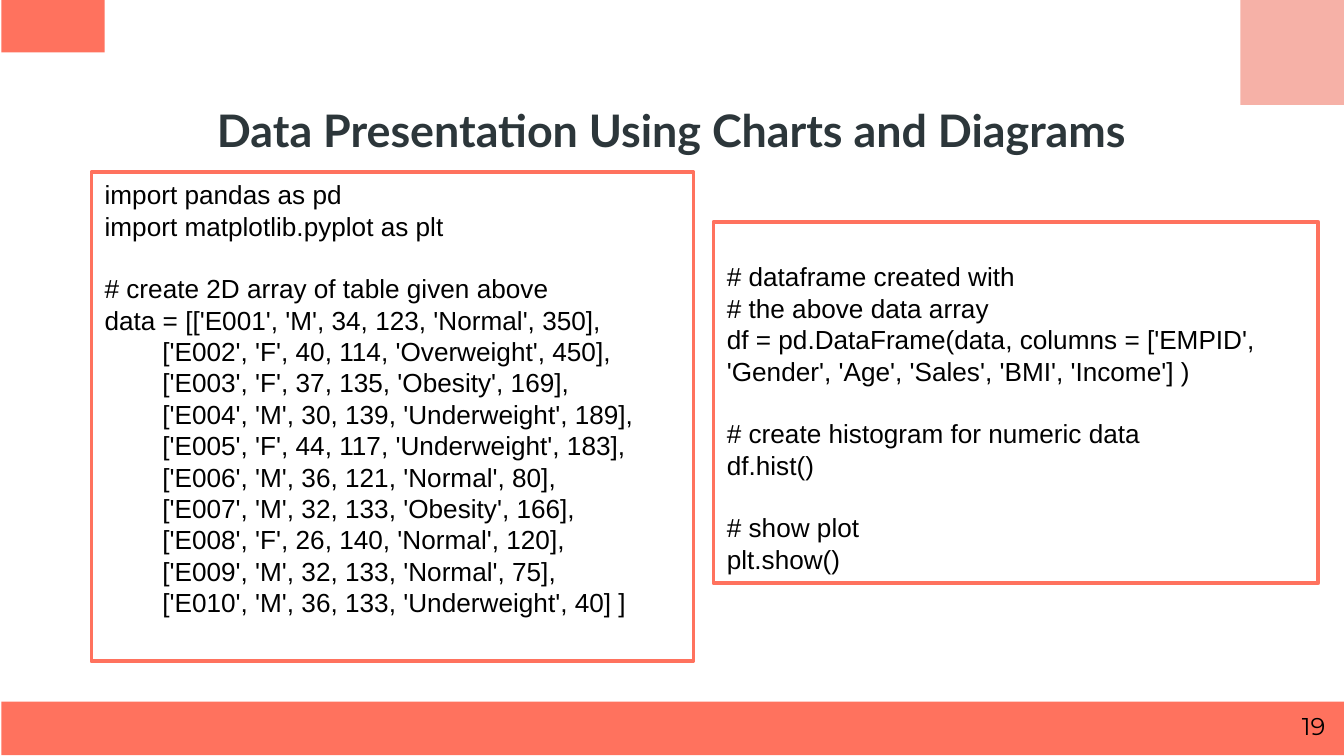
from pptx import Presentation
from pptx.dml.color import RGBColor
from pptx.enum.shapes import MSO_SHAPE
from pptx.enum.text import MSO_ANCHOR, MSO_AUTO_SIZE, PP_ALIGN
from pptx.util import Inches, Pt

COLORS = {"coral": "FF725E", "blush": "F6B1A7", "slate": "2C363A",
          "black": "000000", "white": "FFFFFF"}

TITLE = "Data Presentation Using Charts and Diagrams"
PAGE_NUMBER = "19"

# Each listing is a list of blocks; a gap of one line separates the blocks.
DATA_CODE = [
    ["import pandas as pd",
     "import matplotlib.pyplot as plt"],
    ["# create 2D array of table given above",
     "data = [['E001', 'M', 34, 123, 'Normal', 350],",
     "['E002', 'F', 40, 114, 'Overweight', 450],",
     "['E003', 'F', 37, 135, 'Obesity', 169],",
     "['E004', 'M', 30, 139, 'Underweight', 189],",
     "['E005', 'F', 44, 117, 'Underweight', 183],",
     "['E006', 'M', 36, 121, 'Normal', 80],",
     "['E007', 'M', 32, 133, 'Obesity', 166],",
     "['E008', 'F', 26, 140, 'Normal', 120],",
     "['E009', 'M', 32, 133, 'Normal', 75],",
     "['E010', 'M', 36, 133, 'Underweight', 40] ]"],
]
HISTOGRAM_CODE = [
    ["# dataframe created with",
     "# the above data array",
     "df = pd.DataFrame(data, columns = ['EMPID', 'Gender', 'Age', 'Sales', "
     "'BMI', 'Income'] )"],
    ["# create histogram for numeric data",
     "df.hist()"],
    ["# show plot",
     "plt.show()"],
]

# (left, top, width, height), colour
DECORATIONS = [
    ((0.01, 5.22, 10, 0.4), "coral"),
    ((0.01, -0.01, 0.77, 0.4), "coral"),
    ((9.23, -0.01, 0.77, 0.79), "blush"),
]
# (left, top, width, height), top margin, code
CODE_BOXES = [
    ((0.68, 1.28, 4.48, 3.64), 0.05, DATA_CODE),
    ((5.31, 1.65, 4.5, 2.69), 0.29, HISTOGRAM_CODE),
]
TITLE_BOX = (0.65, 0.72, 8.69, 0.49)
NUMBER_BOX = (9.36, 5.19, 0.6, 0.43)

TITLE_FONT = {"name": "Lato", "size": Pt(24), "bold": True}
NUMBER_FONT = {"name": "Montserrat", "size": Pt(13)}
CODE_FONT = {"name": "Arial", "size": Pt(14)}
LINE_HEIGHT = Pt(16.8)
ROW_INDENT = Inches(0.43)


def rgb(color):
    return RGBColor.from_string(COLORS[color])


def set_attributes(target, values):
    for attribute, value in values.items():
        setattr(target, attribute, value)


def format_font(font, values, color):
    set_attributes(font, values)
    font.color.rgb = rgb(color)


def set_margins(frame, margin):
    sides = ("left", "top", "right", "bottom")
    set_attributes(frame, {f"margin_{side}": Inches(margin) for side in sides})


def add_rectangle(slide, box, color):
    rectangle = slide.shapes.add_shape(MSO_SHAPE.RECTANGLE, *map(Inches, box))
    rectangle.shadow.inherit = False
    rectangle.fill.solid()
    rectangle.fill.fore_color.rgb = rgb(color)
    rectangle.line.fill.background()
    return rectangle


def add_code_box(slide, box, top_margin, blocks):
    code_box = add_rectangle(slide, box, "white")
    code_box.line.color.rgb = rgb("coral")
    code_box.line.width = Pt(2)
    frame = code_box.text_frame
    set_attributes(frame, {"word_wrap": True, "vertical_anchor": MSO_ANCHOR.TOP,
                           "margin_top": Inches(top_margin)})
    for block_index, block in enumerate(blocks):
        for line_index, code_line in enumerate(block):
            starts_block = line_index == 0
            first = starts_block and block_index == 0
            paragraph = frame.paragraphs[0] if first else frame.add_paragraph()
            paragraph.text = code_line
            set_attributes(paragraph, {
                "alignment": PP_ALIGN.LEFT,
                "line_spacing": LINE_HEIGHT,
                "space_before": LINE_HEIGHT if starts_block and not first else 0,
            })
            if code_line.startswith("['"):
                paragraph._p.get_or_add_pPr().set("marL", str(ROW_INDENT))
            format_font(paragraph.runs[0].font, CODE_FONT, "black")


def add_title(slide):
    title = slide.shapes.title
    edges = ("left", "top", "width", "height")
    set_attributes(title, dict(zip(edges, map(Inches, TITLE_BOX))))
    frame = title.text_frame
    frame.text = TITLE
    set_margins(frame, 0.1)
    set_attributes(frame, {"vertical_anchor": MSO_ANCHOR.MIDDLE, "word_wrap": True,
                           "auto_size": MSO_AUTO_SIZE.NONE})
    frame.paragraphs[0].alignment = PP_ALIGN.CENTER
    format_font(frame.paragraphs[0].runs[0].font, TITLE_FONT, "slate")


def add_page_number(slide):
    frame = slide.shapes.add_textbox(*map(Inches, NUMBER_BOX)).text_frame
    frame.text = PAGE_NUMBER
    frame.word_wrap = True
    set_margins(frame, 0.1)
    frame.paragraphs[0].alignment = PP_ALIGN.RIGHT
    format_font(frame.paragraphs[0].runs[0].font, NUMBER_FONT, "black")


def main():
    presentation = Presentation()
    presentation.slide_width = Inches(10)
    presentation.slide_height = presentation.slide_width * 9 // 16
    slide = presentation.slides.add_slide(presentation.slide_layouts[5])
    for box, color in DECORATIONS:
        add_rectangle(slide, box, color)
    add_title(slide)
    add_page_number(slide)
    for box, top_margin, blocks in CODE_BOXES:
        add_code_box(slide, box, top_margin, blocks)
    presentation.save("out.pptx")


if __name__ == "__main__":
    main()
